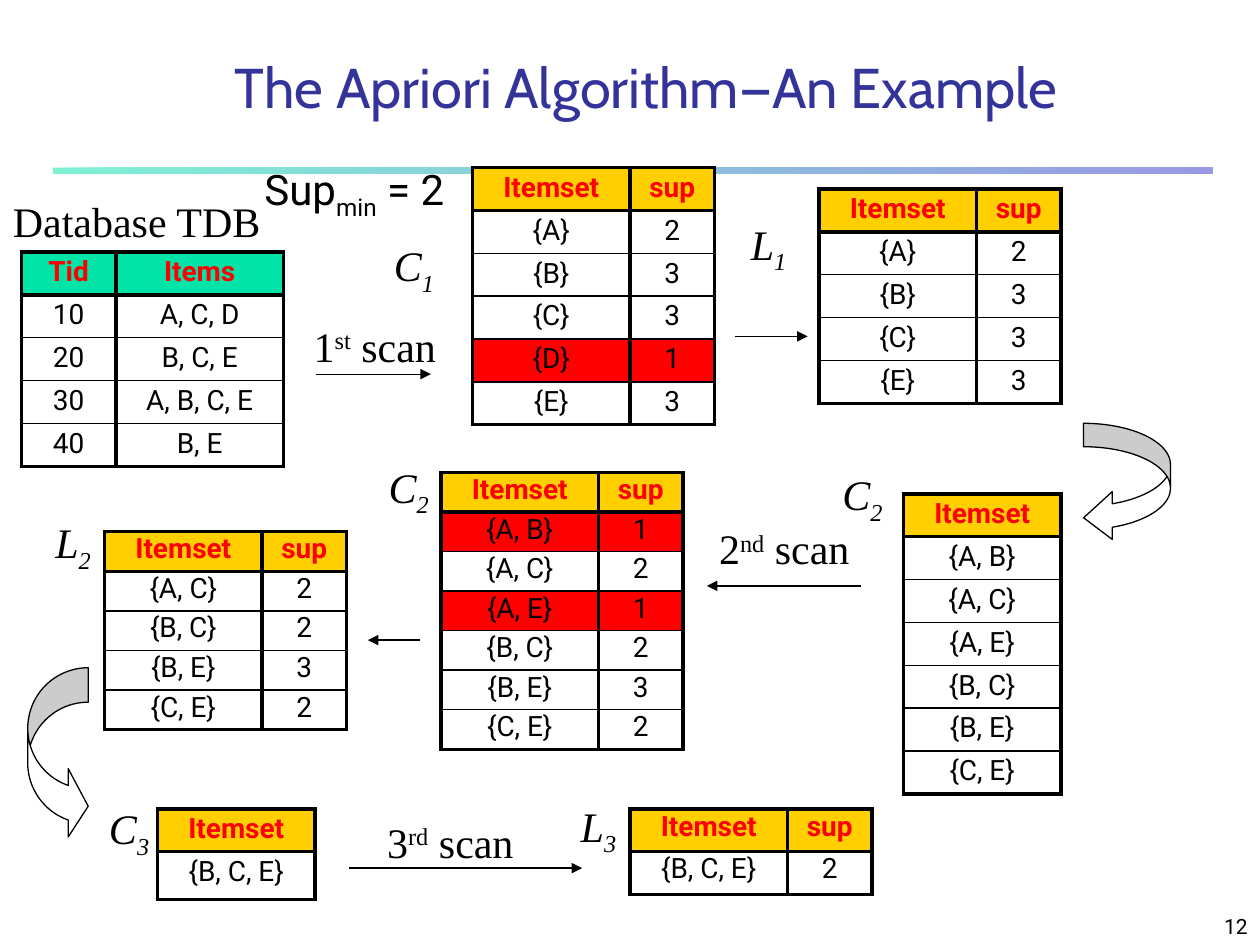
from lxml.etree import SubElement
from pptx import Presentation
from pptx.dml.color import RGBColor
from pptx.enum.shapes import MSO_CONNECTOR, MSO_SHAPE
from pptx.enum.text import MSO_ANCHOR, MSO_AUTO_SIZE, PP_ALIGN
from pptx.oxml.ns import qn
from pptx.util import Inches, Pt


def rgb(value):
    return RGBColor.from_string(value)


def write(tf, text, size=24, font="Times New Roman", color="000000", bold=False,
          italic=False, align=PP_ALIGN.CENTER, line=1.0, before=0):
    p = tf.paragraphs[0]
    p.alignment = align
    p.line_spacing = line
    p.space_before = Pt(before)
    for part in text.split("|"):
        r = p.add_run()
        r.text = part.lstrip("^_")
        r.font.size = Pt(size)
        r.font.name = font
        r.font.bold = bold
        r.font.italic = italic
        r.font.color.rgb = rgb(color)
        if part[0] in "^_":
            r.font._element.set("baseline", "30000" if part[0] == "^" else "-25000")


prs = Presentation()
prs.slide_width, prs.slide_height = Inches(10), Inches(7.5)
s = prs.slides.add_slide(prs.slide_layouts[5])

sp = s.shapes.add_shape(MSO_SHAPE.RECTANGLE, Inches(0.42), Inches(1.33), Inches(9.2), Inches(0.05))
sp.shadow.inherit = False
sp.line.fill.background()
sp.fill.gradient()
sp.fill.gradient_angle = 0
for stop, color in zip(sp.fill.gradient_stops, ("00E4A8", "3333CC")):
    stop.color.rgb = rgb(color)
for clr in sp._element.spPr.iter(qn("a:srgbClr")):
    SubElement(clr, qn("a:alpha"), val="50000")

title = s.shapes.title
title.left, title.top, title.width, title.height = Inches(0.92), Inches(0.33), Inches(8.52), Inches(0.67)
title.text_frame.vertical_anchor = MSO_ANCHOR.BOTTOM
write(title.text_frame, "The Apriori Algorithm—An Example ", size=32, font="Cabin", color="333399")

labels = [
    ("Database TDB", 0, 1.5, 2.17),
    ("1|^st| scan", 2.38, 2.49, 1.19),
    ("2|^nd| scan", 5.59, 4.1, 1.27),
    ("3|^rd| scan", 2.96, 6.43, 1.23),
    ("C|_1", 3.02, 1.88, 0.53),
    ("L|_1", 5.85, 1.71, 0.5),
    ("C|_2", 6.58, 3.7, 0.53),
    ("C|_2", 2.98, 3.64, 0.53),
    ("L|_2", 0.33, 4.08, 0.5),
    ("C|_3", 0.76, 6.35, 0.53),
    ("L|_3", 4.5, 6.33, 0.5),
]
for text, x, y, w in labels:
    tf = s.shapes.add_textbox(Inches(x), Inches(y), Inches(w), Inches(0.5)).text_frame
    tf.word_wrap = False
    tf.auto_size = MSO_AUTO_SIZE.SHAPE_TO_FIT_TEXT
    tf.vertical_anchor = MSO_ANCHOR.MIDDLE
    write(tf, text, italic="_" in text)

for x1, x2, y in [(2.51, 3.42, 2.97), (5.83, 6.41, 2.67), (6.83, 5.61, 4.65),
                  (3.33, 2.92, 5.08), (2.77, 4.62, 6.89)]:
    cn = s.shapes.add_connector(MSO_CONNECTOR.STRAIGHT, Inches(x1), Inches(y), Inches(x2), Inches(y))
    cn.line.color.rgb = rgb("000000")
    cn.line.width = Pt(0.75)
    SubElement(cn.line._get_or_add_ln(), qn("a:tailEnd"), type="triangle")
    SubElement(cn._element.spPr, qn("a:effectLst"))

for kind, x, y, w, h, adjustments in [
    (MSO_SHAPE.CURVED_LEFT_ARROW, 8.6, 3.36, 0.69, 0.94, (0.27, 0.55, 0.33)),
    (MSO_SHAPE.CURVED_RIGHT_ARROW, 0.22, 5.3, 0.48, 1.37, (0.57, 1.13, 0.33)),
]:
    sp = s.shapes.add_shape(kind, Inches(x), Inches(y), Inches(w), Inches(h))
    sp.shadow.inherit = False
    sp.fill.solid()
    sp.fill.fore_color.rgb = rgb("FFFFFF")
    sp.line.color.rgb = rgb("000000")
    sp.line.width = Pt(0.75)
    for i, value in enumerate(adjustments):
        sp.adjustments[i] = value

tables = [
    (0.17, 2, (0.75, 1.33), 0.34, 0.9,
     ["Tid|Items", "10|A, C, D", "20|B, C, E", "30|A, B, C, E", "40|B, E"]),
    (3.75, 1.33, (1.25, 0.67), 0.34, 0.9,
     ["Itemset|sup", "{A}|2", "{B}|3", "{C}|3", "{D}|1", "{E}|3"]),
    (6.5, 1.5, (1.25, 0.67), 0.34, 0.9,
     ["Itemset|sup", "{A}|2", "{B}|3", "{C}|3", "{E}|3"]),
    (7.17, 3.92, (1.25,), 0.34, 0.9,
     ["Itemset", "{A, B}", "{A, C}", "{A, E}", "{B, C}", "{B, E}", "{C, E}"]),
    (3.5, 3.75, (1.25, 0.67), 0.313, 0.8,
     ["Itemset|sup", "{A, B}|1", "{A, C}|2", "{A, E}|1", "{B, C}|2", "{B, E}|3", "{C, E}|2"]),
    (0.83, 4.22, (1.25, 0.67), 0.313, 0.8,
     ["Itemset|sup", "{A, C}|2", "{B, C}|2", "{B, E}|3", "{C, E}|2"]),
    (1.25, 6.42, (1.25,), 0.34, 0.9, ["Itemset", "{B, C, E}"]),
    (5, 6.42, (1.25, 0.67), 0.34, 0.8, ["Itemset|sup", "{B, C, E}|2"]),
]
for x, y, widths, row_h, line, rows in tables:
    last = len(rows) - 1
    tbl = s.shapes.add_table(len(rows), len(widths), Inches(x), Inches(y),
                             Inches(sum(widths)), Inches(row_h * len(rows))).table
    tbl.first_row = tbl.horz_banding = False
    for col, w in zip(tbl.columns, widths):
        col.width = Inches(w)
    for i, row in enumerate(rows):
        tbl.rows[i].height = Inches(row_h)
        values = row.split("|")
        for j, text in enumerate(values):
            cell = tbl.cell(i, j)
            write(cell.text_frame, text, size=16, font="Roboto", bold=i == 0,
                  color="000000" if i else "FF0000", line=line, before=3.2)
            for side, thick in (("L", True), ("R", True), ("T", i < 2), ("B", i in (0, last))):
                ln = SubElement(cell._tc.get_or_add_tcPr(), qn(f"a:ln{side}"),
                                w=str(Pt(2.25 if thick else 1)))
                SubElement(SubElement(ln, qn("a:solidFill")), qn("a:srgbClr"), val="000000")
            if i == 0:
                fill = "00E4A8" if rows[0] == "Tid|Items" else "FFCF01"
            else:
                fill = "FF0000" if values[-1] == "1" else None
            if fill:
                cell.fill.solid()
                cell.fill.fore_color.rgb = rgb(fill)
            else:
                cell.fill.background()
    if rows == ["Itemset", "{B, C, E}"]:
        tbl.rows[last].height = Inches(0.38)

tf = s.shapes.add_textbox(Inches(2), Inches(1.25), Inches(1.92), Inches(0.5)).text_frame
tf.word_wrap = True
tf.auto_size = MSO_AUTO_SIZE.SHAPE_TO_FIT_TEXT
write(tf, "Sup|_min| = 2", font="Roboto", align=PP_ALIGN.LEFT, before=12)

tf = s.shapes.add_textbox(Inches(7.92), Inches(7.08), Inches(2.08), Inches(0.42)).text_frame
tf.word_wrap = True
tf.vertical_anchor = MSO_ANCHOR.BOTTOM
write(tf, "12", size=12, font="Roboto", align=PP_ALIGN.RIGHT)

prs.save("out.pptx")
